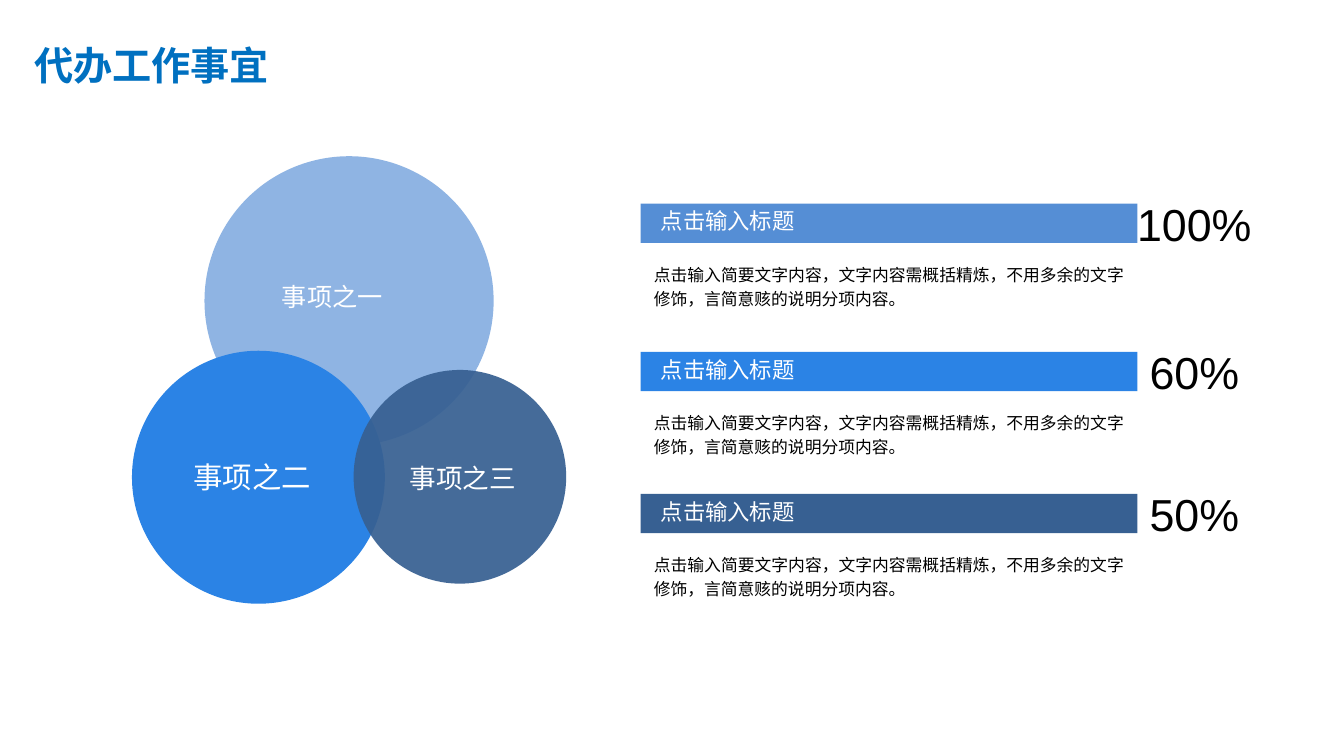
from lxml.etree import SubElement
from pptx import Presentation
from pptx.dml.color import RGBColor as RGB
from pptx.enum.shapes import MSO_SHAPE as SHAPE
from pptx.enum.text import MSO_AUTO_SIZE as FIT, PP_ALIGN as ALIGN
from pptx.oxml.ns import qn
from pptx.util import Inches, Pt

COLORS = {
    "title": "0070C0",
    "light": "558ED5",
    "bright": "2B83E5",
    "dark": "376092",
    "white": "FFFFFF",
    "black": "000000",
}
CHINESE = "Noto Sans CJK SC"
UNIT = Inches(0.1)
BODY = "点击输入简要文字内容，文字内容需概括精炼，不用多余的文字修饰，言简意赅的说明分项内容。"
BODY_FRAME = {
    "margin_left": Inches(0.13),
    "margin_right": Inches(0.13),
    "margin_top": Inches(0.07),
    "margin_bottom": Inches(0.07),
}
FLUSH_FRAME = dict.fromkeys(BODY_FRAME, 0)
BODY_PARAGRAPH = {"alignment": ALIGN.JUSTIFY, "line_spacing": Pt(17.4)}
CIRCLES = [
    ("light", 66, (20.3, 15.5, 28.7, 28.7), "事项之一", 18, (27, 27.4, 12.1, 4)),
    ("bright", 100, (13.1, 34.8, 25.1, 25.1), "事项之二", 21, (18.2, 45.1, 13.8, 4.5)),
    ("dark", 93, (35.1, 36.7, 21.1, 21.2), "事项之三", 19, (39.7, 45.3, 12.7, 4.2)),
]
BARS = [("light", 20.2, "100%"), ("bright", 34.9, "60%"), ("dark", 49, "50%")]
BAR_LEFT, BAR_WIDTH = 63.6, 49.3


class SlideBuilder:
    """Draws styled elements on one slide, in columns and rows of a tenth of an inch."""

    def __init__(self, presentation):
        """Add the blank slide to draw on."""
        self.slide = presentation.slides.add_slide(presentation.slide_layouts[6])

    def box(self, area):
        """Turn columns and rows into lengths."""
        return [round(cells * UNIT) for cells in area]

    def apply(self, target, values):
        """Set each named attribute on the target."""
        for name, value in values.items():
            setattr(target, name, value)

    def shape(self, kind, area, color, opacity=100):
        """Add a filled shape without an outline."""
        shape = self.slide.shapes.add_shape(kind, *self.box(area))
        shape.shadow.inherit = False
        shape.line.fill.background()
        shape.fill.solid()
        shape.fill.fore_color.rgb = RGB.from_string(COLORS[color])
        if opacity < 100:
            color_element = shape.fill._xPr.find(qn("a:solidFill"))[0]
            SubElement(color_element, qn("a:alpha"), val=str(opacity * 1000))

    def text(self, area, words, size, color, font=CHINESE, bold=False,
             wrap=False, frame=None, paragraph=None):
        """Add a text box with one paragraph."""
        text_frame = self.slide.shapes.add_textbox(*self.box(area)).text_frame
        self.apply(text_frame, {"word_wrap": wrap, "auto_size": FIT.SHAPE_TO_FIT_TEXT,
                                **(frame or {})})
        self.apply(text_frame.paragraphs[0], paragraph or {})
        run = text_frame.paragraphs[0].add_run()
        run.text = words
        self.apply(run.font, {"size": Pt(size), "name": font, "bold": bold})
        run.font.color.rgb = RGB.from_string(COLORS[color])
        SubElement(run.font._element, qn("a:ea"), typeface=font)


def main():
    """Build and save the slide."""
    presentation = Presentation()
    presentation.slide_width = Inches(13.34)
    presentation.slide_height = Inches(7.5)
    builder = SlideBuilder(presentation)
    builder.text((2.4, 3.6, 37, 5.7), "代办工作事宜", 28, "title", bold=True, wrap=True)

    for color, opacity, area, label, size, label_area in CIRCLES:
        builder.shape(SHAPE.OVAL, area, color, opacity)
        builder.text(label_area, label, size, "white")

    for color, top, percent in BARS:
        builder.shape(SHAPE.RECTANGLE, (BAR_LEFT, top, BAR_WIDTH, 3.9), color)
        builder.text((BAR_LEFT + 1, top - 0.1, 15.5, 3.7), "点击输入标题", 16, "white")
        builder.text((BAR_LEFT, top + 4.9, BAR_WIDTH, 6.1), BODY, 12, "black",
                     wrap=True, frame=BODY_FRAME, paragraph=BODY_PARAGRAPH)
        builder.text((BAR_LEFT + BAR_WIDTH - 0.1, top - 0.7, 11.5, 5.4), percent, 32, "black",
                     font="Arial", wrap=True, frame=FLUSH_FRAME,
                     paragraph={"alignment": ALIGN.CENTER})

    presentation.save("out.pptx")


if __name__ == "__main__":
    main()
